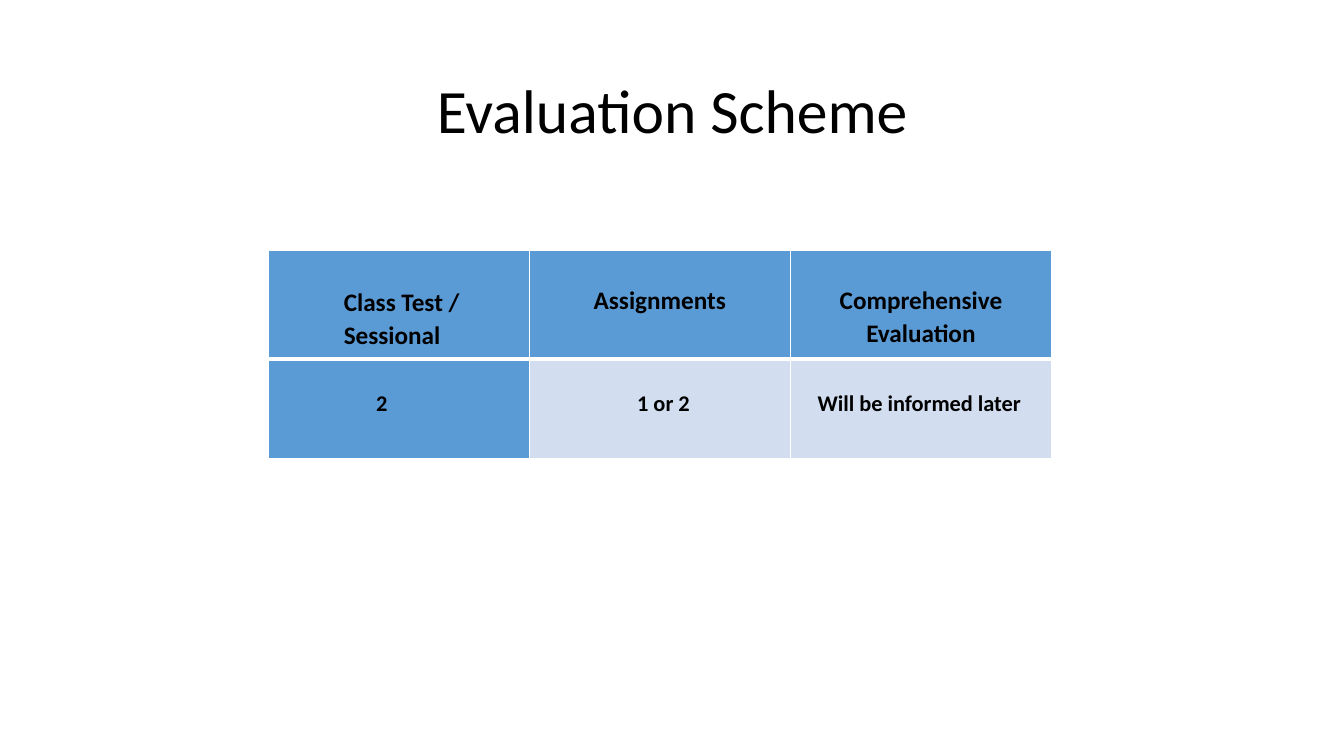
import pptx
import pptx.util
import pptx.dml.color
import pptx.enum.text
import lxml.etree

Inches = pptx.util.Inches
Pt = pptx.util.Pt
RGBColor = pptx.dml.color.RGBColor
ALIGN = pptx.enum.text.PP_ALIGN
BLACK = RGBColor(0x00, 0x00, 0x00)
WHITE = RGBColor(0xFF, 0xFF, 0xFF)
BLUE = RGBColor(0x5B, 0x9B, 0xD5)
PALE = RGBColor(0xD2, 0xDE, 0xEF)
NS = "{http://schemas.openxmlformats.org/drawingml/2006/main}"


def style(para, size, align, gap, bold):
    para.alignment = align
    para.line_spacing = gap
    para.font.name = "Calibri"
    para.font.size = Pt(size)
    para.font.bold = bold
    para.font.color.rgb = BLACK


def border(cell, side, width):
    line = lxml.etree.SubElement(cell._tc.get_or_add_tcPr(), NS + side, w=str(Pt(width)))
    fill = lxml.etree.SubElement(line, NS + "solidFill")
    lxml.etree.SubElement(fill, NS + "srgbClr", val=str(WHITE))


deck = pptx.Presentation()
deck.slide_width = Inches(13.33)
deck.slide_height = Inches(7.5)
slide = deck.slides.add_slide(deck.slide_layouts[5])

title = slide.shapes.title
title.left, title.top = Inches(0.92), Inches(0.4)
title.width, title.height = Inches(11.5), Inches(1.45)
title.text_frame.text = "Evaluation Scheme"
title.text_frame.vertical_anchor = pptx.enum.text.MSO_ANCHOR.MIDDLE
style(title.text_frame.paragraphs[0], 44, ALIGN.CENTER, 0.9, False)

frame = slide.shapes.add_table(2, 3, Inches(2.66), Inches(2.48), Inches(7.77), Inches(2.07))
table = frame.table
table.first_row = False
table.horz_banding = False
for col in table.columns:
    col.width = Inches(2.59)

rows = [
    (1.08, 18, 3, [
        ("Class Test /\nSessional", ALIGN.LEFT, 0.75, 0.35, BLUE),
        ("Assignments", ALIGN.CENTER, 0.07, 0.33, BLUE),
        ("Comprehensive Evaluation", ALIGN.CENTER, 0.07, 0.33, BLUE),
    ]),
    (0.99, 16, 1, [
        ("2", ALIGN.LEFT, 1.07, 0.29, BLUE),
        ("1 or 2", ALIGN.LEFT, 1.07, 0.29, PALE),
        ("Will be informed later", ALIGN.LEFT, 0.27, 0.29, PALE),
    ]),
]

for r, (height, size, base, cells) in enumerate(rows):
    table.rows[r].height = Inches(height)
    for c, (text, align, left, top, color) in enumerate(cells):
        cell = table.cell(r, c)
        cell.text = text
        cell.margin_left, cell.margin_top = Inches(left), Inches(top)
        cell.margin_right, cell.margin_bottom = Inches(0.07), 0
        for para in cell.text_frame.paragraphs:
            style(para, size, align, 1.07, True)
        for side, width in (("lnL", 1), ("lnR", 1), ("lnT", 3 if r else 1), ("lnB", base)):
            border(cell, side, width)
        cell.fill.solid()
        cell.fill.fore_color.rgb = color

deck.save("out.pptx")
